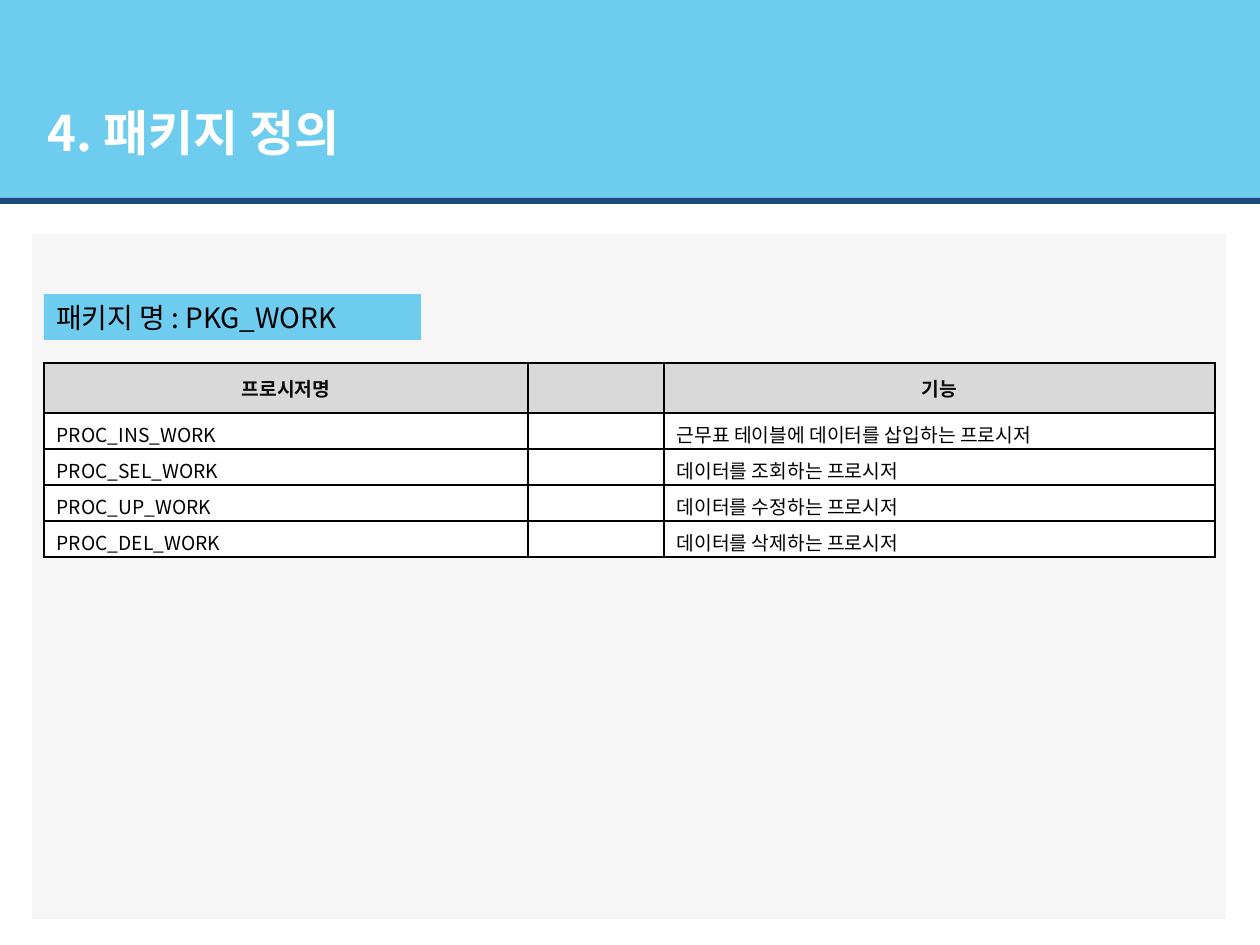
from lxml.etree import SubElement
from pptx import Presentation
from pptx.dml.color import RGBColor
from pptx.enum.shapes import MSO_SHAPE as Shape
from pptx.enum.text import MSO_ANCHOR as Anchor, PP_ALIGN as Align
from pptx.oxml.ns import qn
from pptx.util import Pt

SCALE = 914400 // 126
FONT = "Noto Sans CJK KR"
SKY = RGBColor(0x6E, 0xCC, 0xEE)
NAVY = RGBColor(0x1F, 0x49, 0x7D)
PALE = RGBColor(0xF6, 0xF6, 0xF6)
GREY = RGBColor(0xD9, 0xD9, 0xD9)
INK = RGBColor(0x0D, 0x0D, 0x0D)
BLACK = RGBColor(0, 0, 0)
WHITE = RGBColor(255, 255, 255)

PROCEDURES = [
    ("프로시저명", "", "기능"),
    ("PROC_INS_WORK", "", "근무표 테이블에 데이터를 삽입하는 프로시저"),
    ("PROC_SEL_WORK", "", "데이터를 조회하는 프로시저"),
    ("PROC_UP_WORK", "", "데이터를 수정하는 프로시저"),
    ("PROC_DEL_WORK", "", "데이터를 삭제하는 프로시저"),
]


def px(*lengths):
    """Turn pixel lengths into EMU."""
    return [length * SCALE for length in lengths]


def write(frame, text, size, color, bold=False, align=Align.LEFT):
    """Fill a text frame with one styled paragraph."""
    paragraph = frame.paragraphs[0]
    paragraph.text = text
    paragraph.alignment = align
    font = paragraph.font
    font.name, font.size, font.bold = FONT, Pt(size), bold
    font.color.rgb = color
    properties = paragraph._p.pPr.find(qn("a:defRPr"))
    SubElement(properties, qn("a:ea")).set("typeface", FONT)


def add_block(slide, box, color):
    """Add a plain filled rectangle."""
    block = slide.shapes.add_shape(Shape.RECTANGLE, *px(*box))
    block.shadow.inherit = False
    block.fill.solid()
    block.fill.fore_color.rgb = color
    block.line.fill.background()
    return block


def add_header(slide, box, title):
    """Add the title band with its rule along the bottom."""
    left, top, width, height = box
    rule = 6
    add_block(slide, (left, top, width, height - rule), SKY)
    add_block(slide, (left, top + height - rule, width, rule), NAVY)
    heading = slide.shapes.add_textbox(*px(left + 35, top + 96, 486, 72))
    heading.text_frame.word_wrap = True
    write(heading.text_frame, title, 28, WHITE, bold=True)


def add_borders(cell):
    """Draw thin black lines on all sides of a cell."""
    properties = cell._tc.get_or_add_tcPr()
    for index, side in enumerate(("lnL", "lnR", "lnT", "lnB")):
        line = properties.makeelement(qn(f"a:{side}"), {"w": str(Pt(1))})
        fill = SubElement(line, qn("a:solidFill"))
        SubElement(fill, qn("a:srgbClr")).set("val", str(BLACK))
        properties.insert(index, line)


def add_procedures(slide, box):
    """Add the table of procedures."""
    columns, heights = (484, 136, 551), (50, 36, 36, 36, 36)
    table = slide.shapes.add_table(len(heights), len(columns), *px(*box)).table
    for column, width in zip(table.columns, px(*columns)):
        column.width = width
    for row, height in zip(table.rows, px(*heights)):
        row.height = height
    for index, texts in enumerate(PROCEDURES):
        head = index == 0
        for cell, text in zip(table.rows[index].cells, texts):
            cell.fill.solid()
            cell.fill.fore_color.rgb = GREY if head else WHITE
            cell.vertical_anchor = Anchor.MIDDLE
            cell.margin_top, cell.margin_bottom = px(6, 6 if head else 0)
            write(cell.text_frame, text, 11, INK if head else BLACK, head,
                  Align.CENTER if head else Align.LEFT)
            add_borders(cell)


def add_package(slide, box, name):
    """Add the content panel with the package name and its procedures."""
    left, top, width, height = box
    add_block(slide, box, PALE)
    label = add_block(slide, (left + 12, top + 60, 377, 46), SKY)
    label.text_frame.word_wrap = True
    write(label.text_frame, name, 16, BLACK)
    add_procedures(slide, (left + 12, top + 129, width - 23, 194))


def main():
    """Build and save the slide."""
    deck = Presentation()
    deck.slide_width, deck.slide_height = px(1260, 945)
    slide = deck.slides.add_slide(deck.slide_layouts[6])
    add_package(slide, (32, 234, 1194, 685), "패키지 명 : PKG_WORK")
    add_header(slide, (0, 0, 1260, 204), "4. 패키지 정의")
    deck.save("out.pptx")


main()
